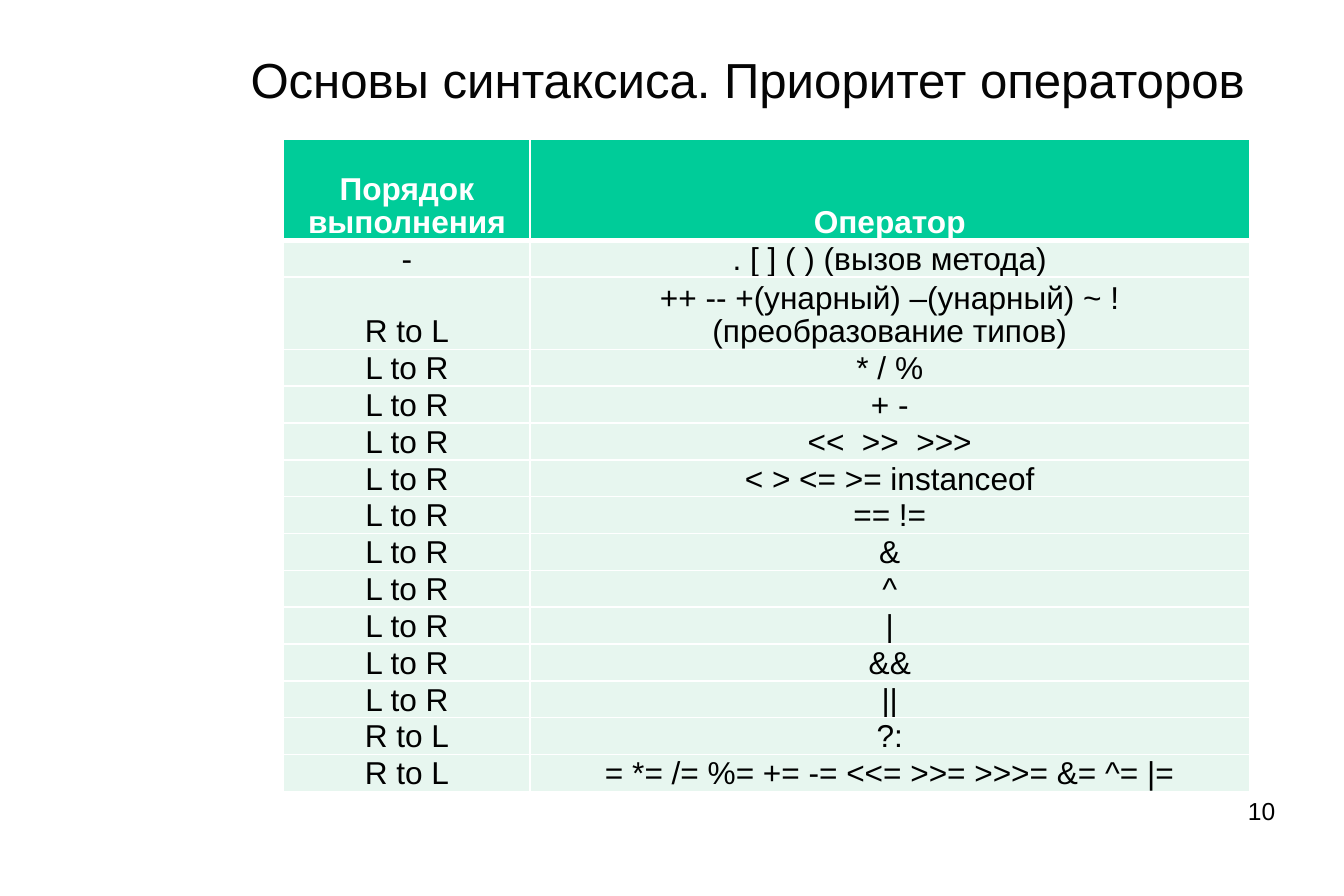
from lxml.etree import SubElement
from pptx import Presentation
from pptx.dml.color import RGBColor
from pptx.enum.text import MSO_ANCHOR, PP_ALIGN
from pptx.oxml.ns import qn
from pptx.util import Cm, Pt

WHITE = RGBColor(0xFF, 0xFF, 0xFF)
BLACK = RGBColor(0, 0, 0)
INK = RGBColor(5, 5, 5)
GREEN = RGBColor(0, 0xCC, 0x99)
MINT = RGBColor(0xE7, 0xF6, 0xEF)

LEFT, RIGHT = "L to R", "R to L"
ROWS = [
    ("Порядок выполнения", "Оператор"),
    ("-", ". [ ] ( ) (вызов метода)"),
    (RIGHT, "++ -- +(унарный) –(унарный) ~ ! (преобразование типов)"),
    (LEFT, "* / %"),
    (LEFT, "+ -"),
    (LEFT, "<<  >>  >>>"),
    (LEFT, "< > <= >= instanceof"),
    (LEFT, "== !="),
    (LEFT, "&"),
    (LEFT, "^"),
    (LEFT, "|"),
    (LEFT, "&&"),
    (LEFT, "||"),
    (RIGHT, "?:"),
    (RIGHT, "= *= /= %= += -= <<= >>= >>>= &= ^= |="),
]
WIDTHS = (4.95, 14.45)
TALL = {0: 2.03, 2: 1.37}
LOW = 0.71
PAD = {
    "margin_left": Cm(0.03),
    "margin_right": Cm(0.03),
    "margin_top": Cm(0.03),
    "margin_bottom": 0,
    "vertical_anchor": MSO_ANCHOR.BOTTOM,
}


def apply(item, form):
    for name, value in form.items():
        setattr(item, name, value)


def write(frame, text, size, color, bold=False, align=PP_ALIGN.CENTER, lines=0.93):
    par = frame.paragraphs[0]
    apply(par, {"alignment": align, "line_spacing": lines})
    run = par.add_run()
    run.text = text
    apply(run.font, {"name": "Arial", "size": Pt(size), "bold": bold})
    run.font.color.rgb = color


def add_text(slide, box, text, size, color, anchor, top=0, **style):
    frame = slide.shapes.add_textbox(*map(Cm, box)).text_frame
    apply(frame, {
        "word_wrap": True,
        "vertical_anchor": anchor,
        "margin_left": 0,
        "margin_right": 0,
        "margin_top": Cm(top),
        "margin_bottom": 0,
    })
    write(frame, text, size, color, **style)


def add_edges(cell, row):
    thick = {"T": 3 if row == 1 else 1, "B": 3 if row == 0 else 1}
    props = cell._tc.get_or_add_tcPr()
    for side in "LRTB":
        line = SubElement(props, qn("a:ln" + side), w=str(Pt(thick.get(side, 1))))
        fill = SubElement(line, qn("a:solidFill"))
        SubElement(fill, qn("a:srgbClr"), val=str(WHITE))


def add_grid(slide, box):
    grid = slide.shapes.add_table(len(ROWS), len(WIDTHS), *map(Cm, box)).table
    for col, width in zip(grid.columns, WIDTHS):
        col.width = Cm(width)
    for row, texts in enumerate(ROWS):
        grid.rows[row].height = Cm(TALL.get(row, LOW))
        head = row == 0
        for col, text in enumerate(texts):
            cell = grid.cell(row, col)
            apply(cell, PAD)
            add_edges(cell, row)
            cell.fill.solid()
            cell.fill.fore_color.rgb = GREEN if head else MINT
            write(cell.text_frame, text, 18, WHITE if head else BLACK, head)


deck = Presentation()
apply(deck, {"slide_width": Cm(27), "slide_height": Cm(18)})
slide = deck.slides.add_slide(deck.slide_layouts[6])
add_text(slide, (19.35, 16, 6.27, 1.24), "10", 14, BLACK, MSO_ANCHOR.TOP,
         align=PP_ALIGN.RIGHT, lines=1.0)
add_text(slide, (4.39, 0.36, 21.26, 2.46), "Основы синтаксиса. Приоритет операторов",
         28, INK, MSO_ANCHOR.MIDDLE, top=0.1)
height = sum(TALL.get(row, LOW) for row in range(len(ROWS)))
add_grid(slide, (5.7, 2.8, sum(WIDTHS), height))
deck.save("out.pptx")
